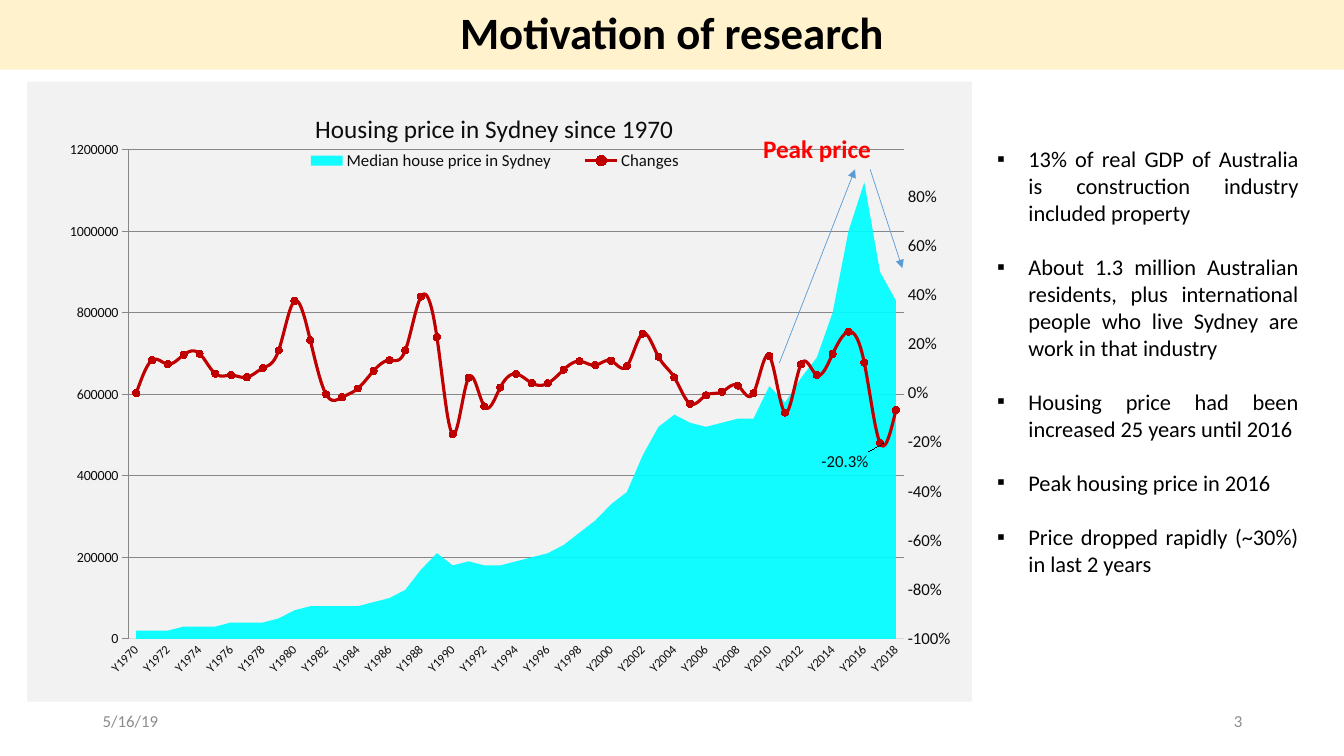
"""Build the slide on the motivation of research, with its Sydney housing price chart."""
import dataclasses

import pptx
import pptx.chart.axis
import pptx.chart.data
import pptx.dml.color
import pptx.enum.chart
import pptx.enum.dml
import pptx.enum.shapes
import pptx.enum.text
import pptx.oxml
import pptx.oxml.ns
import pptx.util
from pptx.dml.color import RGBColor
from pptx.oxml.ns import nsdecls, qn
from pptx.util import Inches, Pt

FONT = "Calibri"
BLACK = RGBColor(0x00, 0x00, 0x00)
INK = RGBColor(0x0D, 0x0D, 0x0D)
GREY = RGBColor(0x8C, 0x8C, 0x8C)
RULE_GREY = RGBColor(0xD9, 0xD9, 0xD9)
CREAM = RGBColor(0xFF, 0xF2, 0xCC)
PANEL = RGBColor(0xF2, 0xF2, 0xF2)
CYAN = RGBColor(0x00, 0xFD, 0xFF)
DARK_RED = RGBColor(0xC0, 0x00, 0x00)
RED = RGBColor(0xFF, 0x00, 0x00)
BLUE = RGBColor(0x5B, 0x9B, 0xD5)
Align = pptx.enum.text.PP_ALIGN
Anchor = pptx.enum.text.MSO_ANCHOR

FIRST_YEAR = 1970
LOW_YEAR = 2017
PRICES_IN_THOUSANDS = [
    20, 20, 20, 30, 30, 30, 40, 40, 40, 50, 70, 80, 80, 80, 80, 90, 100,
    120, 170, 210, 180, 190, 180, 180, 190, 200, 210, 230, 260, 290, 330, 360, 450,
    520, 550, 530, 520, 530, 540, 540, 620, 580, 640, 690, 800, 1000, 1120, 900, 830]
CHANGES = [
    None, 0.134, 0.118, 0.156, 0.161, 0.079, 0.073, 0.065, 0.102, 0.174, 0.375, 0.215,
    -0.005, -0.017, 0.019, 0.091, 0.134, 0.174, 0.393, 0.228, -0.167, 0.063, -0.054,
    0.023, 0.078, 0.041, 0.04, 0.095, 0.13, 0.114, 0.132, 0.11, 0.242, 0.148, 0.064,
    -0.043, -0.009, 0.005, 0.031, 0, 0.151, -0.079, 0.117, 0.074, 0.159, 0.25, 0.124,
    -0.203, -0.069]
BULLETS = [
    "13% of real GDP of Australia is construction industry included property",
    "About 1.3 million Australian residents, plus international people who live Sydney "
    "are work in that industry",
    "Housing price had been increased 25 years until 2016",
    "Peak housing price in 2016",
    "Price dropped rapidly (~30%) in last 2 years"]


@dataclasses.dataclass
class Label:
    """A one-line text box, measured in inches and points."""
    text: str
    box: tuple[float, float, float, float]
    size: int
    color: RGBColor
    bold: bool = False
    align: Align = Align.LEFT


@dataclasses.dataclass
class Arrow:
    """A straight arrow between two points in inches."""
    start: tuple[float, float]
    end: tuple[float, float]


LABELS = [
    Label("5/16/19", (0.92, 6.95, 3, 0.4), 12, GREY),
    Label("3", (9.42, 6.95, 3, 0.4), 12, GREY, align=Align.RIGHT),
    Label("Peak price", (7.47, 1.27, 1.34, 0.4), 18, RED, bold=True)]
ARROWS = [Arrow((7.73, 3.6), (8.48, 1.68)), Arrow((8.63, 1.68), (8.95, 2.66))]


def set_font(font, size: float, color: RGBColor, bold: bool = False) -> None:
    """Apply the slide's typeface with a size, colour and weight."""
    font.name, font.size, font.bold = FONT, Pt(size), bold
    font.color.rgb = color


def move(shape, left: float, top: float, width: float, height: float) -> None:
    """Place a shape, in inches."""
    shape.left, shape.top = Inches(left), Inches(top)
    shape.width, shape.height = Inches(width), Inches(height)


def add_label(slide, label: Label) -> None:
    """Draw a label."""
    shape = slide.shapes.add_textbox(*map(Inches, label.box))
    frame = shape.text_frame
    frame.word_wrap, frame.vertical_anchor = True, Anchor.MIDDLE
    paragraph = frame.paragraphs[0]
    paragraph.text, paragraph.alignment = label.text, label.align
    set_font(paragraph.font, label.size, label.color, label.bold)


def add_arrow(slide, arrow: Arrow) -> None:
    """Draw an arrow."""
    connector = slide.shapes.add_connector(
        pptx.enum.shapes.MSO_CONNECTOR.STRAIGHT, *map(Inches, arrow.start + arrow.end))
    connector.line.color.rgb, connector.line.width = BLUE, Pt(0.5)
    properties = connector.element.spPr
    head = pptx.oxml.parse_xml(f'<a:tailEnd {nsdecls("a")} type="triangle"/>')
    properties.find(qn("a:ln")).append(head)
    properties.append(pptx.oxml.parse_xml(f'<a:effectLst {nsdecls("a")}/>'))


def set_layout(parent, after: str | None, inner: bool = False, **fractions: float) -> None:
    """Give a chart part a manual layout, following the named child."""
    for layout in parent.findall(qn("c:layout")):
        parent.remove(layout)
    target = '<c:layoutTarget val="inner"/>' if inner else ""
    modes = "" if after == "c:idx" else '<c:xMode val="edge"/><c:yMode val="edge"/>'
    values = "".join(f'<c:{key} val="{value}"/>' for key, value in fractions.items())
    layout = pptx.oxml.parse_xml(
        f'<c:layout {nsdecls("c")}><c:manualLayout>{target}{modes}{values}'
        "</c:manualLayout></c:layout>")
    if after:
        parent.find(qn(after)).addnext(layout)
    else:
        parent.insert(0, layout)


def add_changes_plot(area_plot) -> pptx.chart.axis.ValueAxis:
    """Move the second series to a line plot and return its right-hand axis."""
    line_plot = pptx.oxml.parse_xml(
        f'<c:lineChart {nsdecls("c")}><c:grouping val="stacked"/><c:varyColors val="0"/>'
        '<c:marker val="1"/><c:axId val="5001"/><c:axId val="5002"/></c:lineChart>')
    line_plot.insert(2, area_plot.findall(qn("c:ser"))[1])
    area_plot.addnext(line_plot)
    axes = []
    for kind, own, other, hidden, side, crosses, extra in (
            ("catAx", 5001, 5002, 1, "b", "autoZero", ""),
            ("valAx", 5002, 5001, 0, "r", "max", '<c:crossBetween val="between"/>')):
        axes.append(pptx.oxml.parse_xml(
            f'<c:{kind} {nsdecls("c")}><c:axId val="{own}"/><c:scaling>'
            f'<c:orientation val="minMax"/></c:scaling><c:delete val="{hidden}"/>'
            f'<c:axPos val="{side}"/><c:crossAx val="{other}"/>'
            f'<c:crosses val="{crosses}"/>{extra}</c:{kind}>'))
    last_axis = area_plot.getparent().findall(qn("c:valAx"))[-1]
    last_axis.addnext(axes[0])
    axes[0].addnext(axes[1])
    return pptx.chart.axis.ValueAxis(axes[1])


def format_axis(axis, size: float, number_format: str | None = None,
                scale: tuple[float, float, float] | None = None) -> None:
    """Format an axis; a value axis also takes a format and (low, high, step)."""
    axis.major_tick_mark = axis.minor_tick_mark = pptx.enum.chart.XL_TICK_MARK.NONE
    set_font(axis.tick_labels.font, size, INK)
    if scale:
        axis.minimum_scale, axis.maximum_scale, axis.major_unit = scale
        axis.tick_labels.number_format = number_format
        axis.tick_labels.number_format_is_linked = False
        axis.format.line.fill.background()
    else:
        axis.format.line.color.rgb, axis.format.line.width = RULE_GREY, Pt(0.75)


def format_changes(series) -> None:
    """Format the line of yearly changes and label its lowest year."""
    series.smooth = True
    series.format.line.color.rgb, series.format.line.width = DARK_RED, Pt(2.25)
    series.marker.style, series.marker.size = pptx.enum.chart.XL_MARKER_STYLE.CIRCLE, 5
    series.marker.format.fill.solid()
    series.marker.format.fill.fore_color.rgb = DARK_RED
    series.marker.format.line.color.rgb = DARK_RED
    series.data_labels.show_value = False
    label = series.points[LOW_YEAR - FIRST_YEAR].data_label
    set_font(label.font, 12, INK)
    label.position = pptx.enum.chart.XL_LABEL_POSITION.RIGHT
    labels = series.data_labels._element
    set_layout(labels.find(qn("c:dLbl")), "c:idx", x=-0.07, y=0.03)


def add_price_chart(slide) -> None:
    """Draw median prices as an area and yearly changes as a line."""
    data = pptx.chart.data.CategoryChartData()
    data.categories = [f"Y{FIRST_YEAR + offset}" for offset in range(len(CHANGES))]
    data.add_series("Median house price in Sydney",
                    [price * 1000 for price in PRICES_IN_THOUSANDS], "#,##0")
    data.add_series("Changes", CHANGES, "0.0%")
    chart = slide.shapes.add_chart(
        pptx.enum.chart.XL_CHART_TYPE.AREA_STACKED,
        *map(Inches, (0.27, 0.81, 9.37, 6.15)), data).chart
    set_font(chart.font, 10, INK)
    root = chart.element.find(qn("c:chart"))
    root.addnext(pptx.oxml.parse_xml(
        f'<c:spPr {nsdecls("c", "a")}><a:solidFill><a:srgbClr val="{PANEL}"/>'
        "</a:solidFill><a:ln><a:noFill/></a:ln></c:spPr>"))

    plot_area = root.find(qn("c:plotArea"))
    changes_axis = add_changes_plot(plot_area.find(qn("c:areaChart")))
    set_layout(plot_area, None, inner=True, x=0.107, y=0.11, w=0.821, h=0.789)
    format_axis(chart.category_axis, 9)
    category_axis = plot_area.find(qn("c:catAx"))
    category_axis.find(qn("c:txPr")).find(qn("a:bodyPr")).set("rot", "-2700000")
    category_axis.find(qn("c:lblOffset")).addnext(
        pptx.oxml.parse_xml(f'<c:tickLblSkip {nsdecls("c")} val="2"/>'))
    price_axis = chart.value_axis
    format_axis(price_axis, 12, r'_(* #,##0_);_(* \(#,##0\);_(* "-"??_);_(@_)',
                (0, 1200000, 200000))
    plot_area.find(qn("c:valAx")).find(qn("c:crossBetween")).set("val", "between")
    grid = price_axis.major_gridlines.format.line
    grid.color.rgb, grid.width = RULE_GREY, Pt(0.5)
    grid.dash_style = pptx.enum.dml.MSO_LINE.SQUARE_DOT
    format_axis(changes_axis, 12, "0%", (-0.999, 0.99, 0.2))

    area_plot, line_plot = chart.plots
    area_plot.vary_by_categories = False
    fill = area_plot.series[0].format.fill
    fill.solid()
    fill.fore_color.rgb = CYAN
    plot_area.find(".//" + qn("a:srgbClr") + f"[@val='{CYAN}']").append(
        pptx.oxml.parse_xml(f'<a:alpha {nsdecls("a")} val="93000"/>'))
    format_changes(line_plot.series[0])

    chart.has_title = True
    paragraph = chart.chart_title.text_frame.paragraphs[0]
    paragraph.text = "Housing price in Sydney since 1970"
    set_font(paragraph.font, 18, INK)
    set_layout(root.find(qn("c:title")), "c:tx", x=0.3, y=0.04)
    chart.has_legend = True
    chart.legend.position = pptx.enum.chart.XL_LEGEND_POSITION.RIGHT
    chart.legend.include_in_layout = False
    set_font(chart.legend.font, 12, INK)
    set_layout(root.find(qn("c:legend")), "c:legendPos", x=0.27, y=0.105, w=0.45, h=0.045)


def fill_title(title) -> None:
    """Turn the title placeholder into the heading band."""
    move(title, 0, 0, 13.33, 0.69)
    title.fill.solid()
    title.fill.fore_color.rgb = CREAM
    title.text_frame.vertical_anchor = Anchor.MIDDLE
    paragraph = title.text_frame.paragraphs[0]
    paragraph.text, paragraph.alignment = "Motivation of research", Align.CENTER
    paragraph.line_spacing = 0.9
    set_font(paragraph.font, 32, BLACK, bold=True)


def fill_bullets(body) -> None:
    """Write the findings in the body placeholder."""
    move(body, 9.79, 1.39, 3.19, 4.68)
    frame = body.text_frame
    frame.auto_size = pptx.enum.text.MSO_AUTO_SIZE.NONE
    frame.vertical_anchor = Anchor.TOP
    frame.text = "\n".join(BULLETS)
    for paragraph in frame.paragraphs:
        paragraph.alignment = Align.JUSTIFY
        paragraph.space_before, paragraph.space_after = Pt(0), Pt(19.5)
        set_font(paragraph.font, 16, BLACK)
        properties = paragraph._p.get_or_add_pPr()
        properties.set("marL", str(Inches(0.31)))
        properties.set("indent", str(-Inches(0.31)))
        bullet = pptx.oxml.parse_xml(f'<a:buChar {nsdecls("a")} char="▪"/>')
        properties.find(qn("a:spcAft")).addnext(bullet)


def main() -> None:
    """Build and save the presentation."""
    presentation = pptx.Presentation()
    presentation.slide_width, presentation.slide_height = Inches(13.33), Inches(7.5)
    slide = presentation.slides.add_slide(presentation.slide_layouts[1])
    fill_title(slide.shapes.title)
    fill_bullets(slide.placeholders[1])
    add_price_chart(slide)
    for arrow in ARROWS:
        add_arrow(slide, arrow)
    for label in LABELS:
        add_label(slide, label)
    presentation.save("out.pptx")


main()
